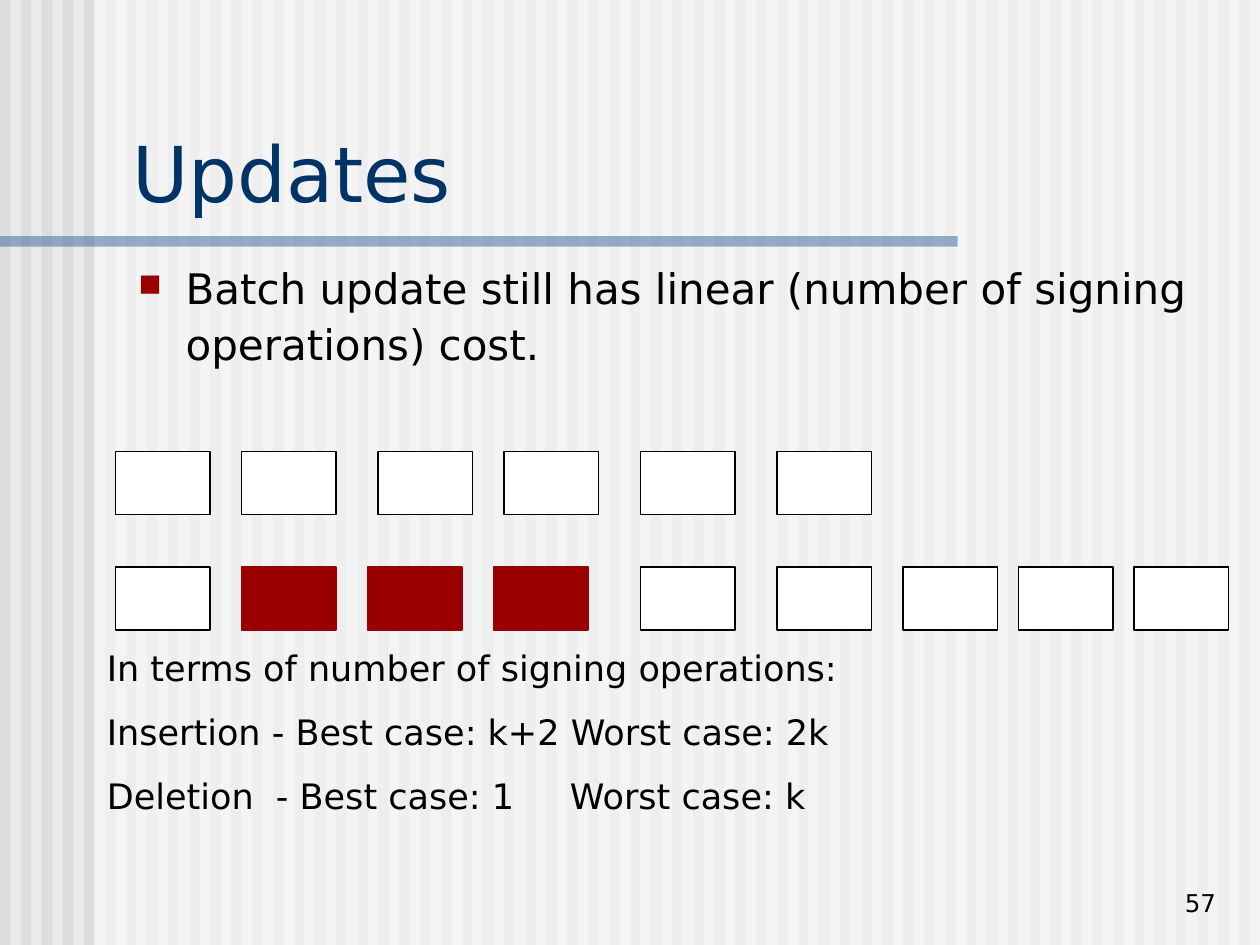
import dataclasses
import pptx
import pptx.dml.color
import pptx.enum.shapes
import pptx.enum.text
import pptx.oxml.ns
import pptx.util
import lxml.etree

PX = 7620
WIDE, HIGH = 1200, 900
ALIGN = pptx.enum.text.PP_ALIGN
ANCHOR = pptx.enum.text.MSO_ANCHOR


@dataclasses.dataclass(frozen=True)
class Theme:
    font: str = "DejaVu Sans"
    back: str = "EAEAEA"
    stripe: str = "DDDDDD"
    white: str = "FFFFFF"
    black: str = "000000"
    blue: str = "336699"
    navy: str = "003366"
    red: str = "9A0000"
    title: int = 44
    body: int = 24
    note: int = 20
    small: int = 14


THEME = Theme()


def color(code):
    return pptx.dml.color.RGBColor.from_string(code)


def scale(*sizes):
    return [pptx.util.Emu(size * PX) for size in sizes]


def child(node, tag, **attrs):
    item = lxml.etree.SubElement(node, pptx.oxml.ns.qn(tag))
    for key, value in attrs.items():
        item.set(key, str(value))
    return item


def rect(slide, box, fill, line=None, alpha=None):
    kind = pptx.enum.shapes.MSO_SHAPE.RECTANGLE
    shape = slide.shapes.add_shape(kind, *scale(*box))
    shape.shadow.inherit = False
    shape.fill.solid()
    shape.fill.fore_color.rgb = color(fill)
    if alpha:
        tint = shape._element.spPr.find(".//" + pptx.oxml.ns.qn("a:srgbClr"))
        child(tint, "a:alpha", val=alpha * 1000)
    if line:
        shape.line.color.rgb = color(line)
        shape.line.width = pptx.util.Pt(0.75)
    else:
        shape.line.fill.background()


def frame(slide, box, anchor=ANCHOR.TOP):
    text = slide.shapes.add_textbox(*scale(*box)).text_frame
    text.word_wrap = True
    text.vertical_anchor = anchor
    return text


def lines(text, words, size, ink, gap=0):
    for num, word in enumerate(words):
        para = text.paragraphs[0] if num == 0 else text.add_paragraph()
        if num and gap:
            para.space_before = pptx.util.Pt(gap)
        run = para.add_run()
        run.text = word
        run.font.name = THEME.font
        run.font.size = pptx.util.Pt(size)
        run.font.color.rgb = color(ink)
    return text.paragraphs


def backdrop(slide, box):
    left, top, width, height = box
    fill = slide.background.fill
    fill.solid()
    fill.fore_color.rgb = color(THEME.back)
    for x in range(0, width, 20):
        rect(slide, (left + x, top, 10, height), THEME.stripe)
    rect(slide, (left + 90, top, width - 90, height), THEME.white, alpha=50)
    rect(slide, (left, top + 225, 912, 10), THEME.blue, alpha=50)


def heading(slide, box):
    text = frame(slide, box, ANCHOR.BOTTOM)
    lines(text, ["Updates"], THEME.title, THEME.navy)


def point(slide, box):
    words = ["Batch update still has linear (number of signing",
             "operations) cost."]
    paras = lines(frame(slide, box), words, THEME.body, THEME.black, 6)
    hang = 45 * PX
    for para in paras:
        para.line_spacing = 0.9
        para._p.get_or_add_pPr().set("marL", str(hang))
    props = paras[0]._p.pPr
    props.set("indent", str(-hang))
    child(child(props, "a:buClr"), "a:srgbClr", val=THEME.red)
    child(props, "a:buSzPct", val=75000)
    child(props, "a:buChar", char="■")


def blocks(slide, box, steps, marked=()):
    left, top, width, height = box
    for num, step in enumerate(steps):
        hot = num in marked
        fill = THEME.red if hot else THEME.white
        line = THEME.red if hot else THEME.black
        rect(slide, (left + step, top, width, height), fill, line)


def costs(slide, box):
    words = ["In terms of number of signing operations:",
             "Insertion - Best case: k+2 Worst case: 2k",
             "Deletion\t- Best case: 1\tWorst case: k"]
    paras = lines(frame(slide, box), words, THEME.note, THEME.black, 12.5)
    tabs = child(paras[-1]._p.get_or_add_pPr(), "a:tabLst")
    for stop in (161, 441):
        child(tabs, "a:tab", pos=stop * PX, algn="l")


def number(slide, box):
    text = frame(slide, box, ANCHOR.BOTTOM)
    paras = lines(text, ["57"], THEME.small, THEME.black)
    paras[0].alignment = ALIGN.RIGHT


def main():
    deck = pptx.Presentation()
    deck.slide_width, deck.slide_height = scale(WIDE, HIGH)
    slide = deck.slides.add_slide(deck.slide_layouts[6])
    backdrop(slide, (0, 0, WIDE, HIGH))
    number(slide, (1050, 820, 120, 60))
    heading(slide, (114, 113, 1072, 100))
    point(slide, (120, 250, 1064, 130))
    blocks(slide, (110, 430, 90, 60), (0, 120, 250, 370, 500, 630))
    blocks(slide, (110, 540, 90, 60),
           (0, 120, 240, 360, 500, 630, 750, 860, 970), (1, 2, 3))
    costs(slide, (90, 610, 790, 174))
    deck.save("out.pptx")


if __name__ == "__main__":
    main()
